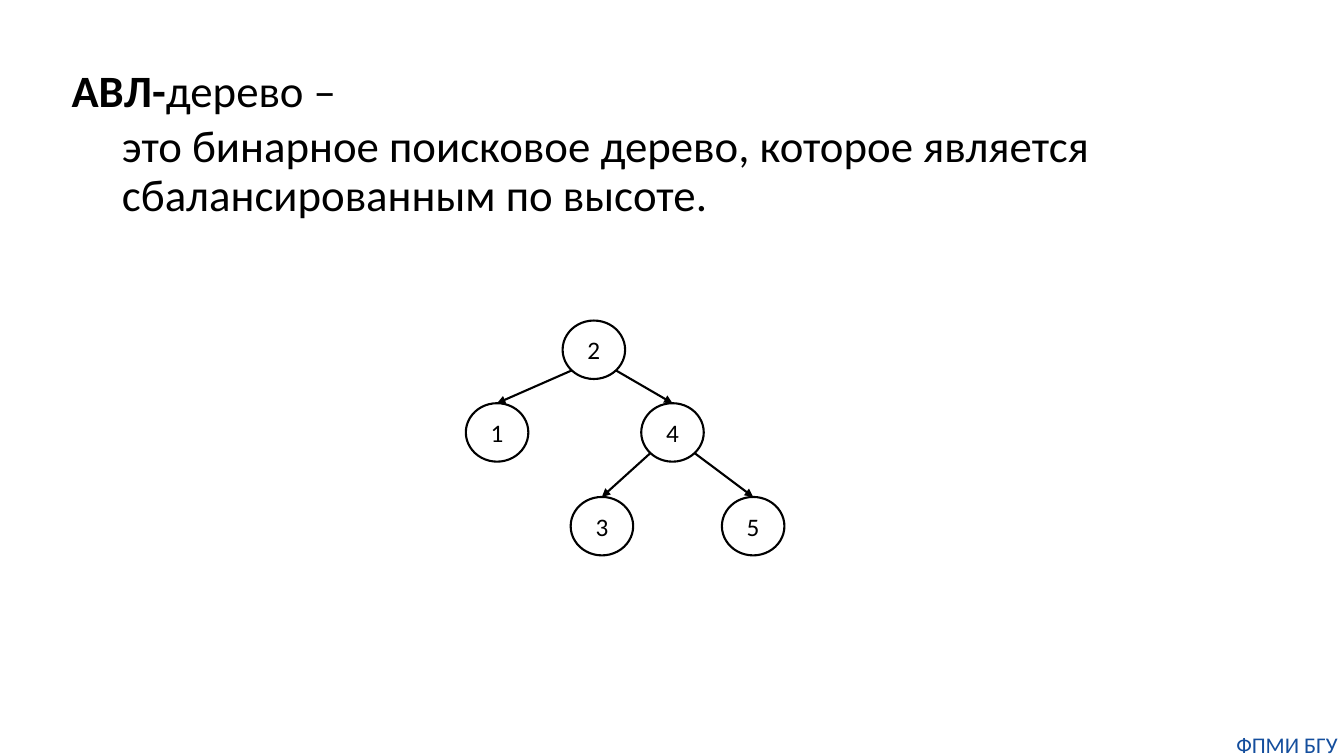
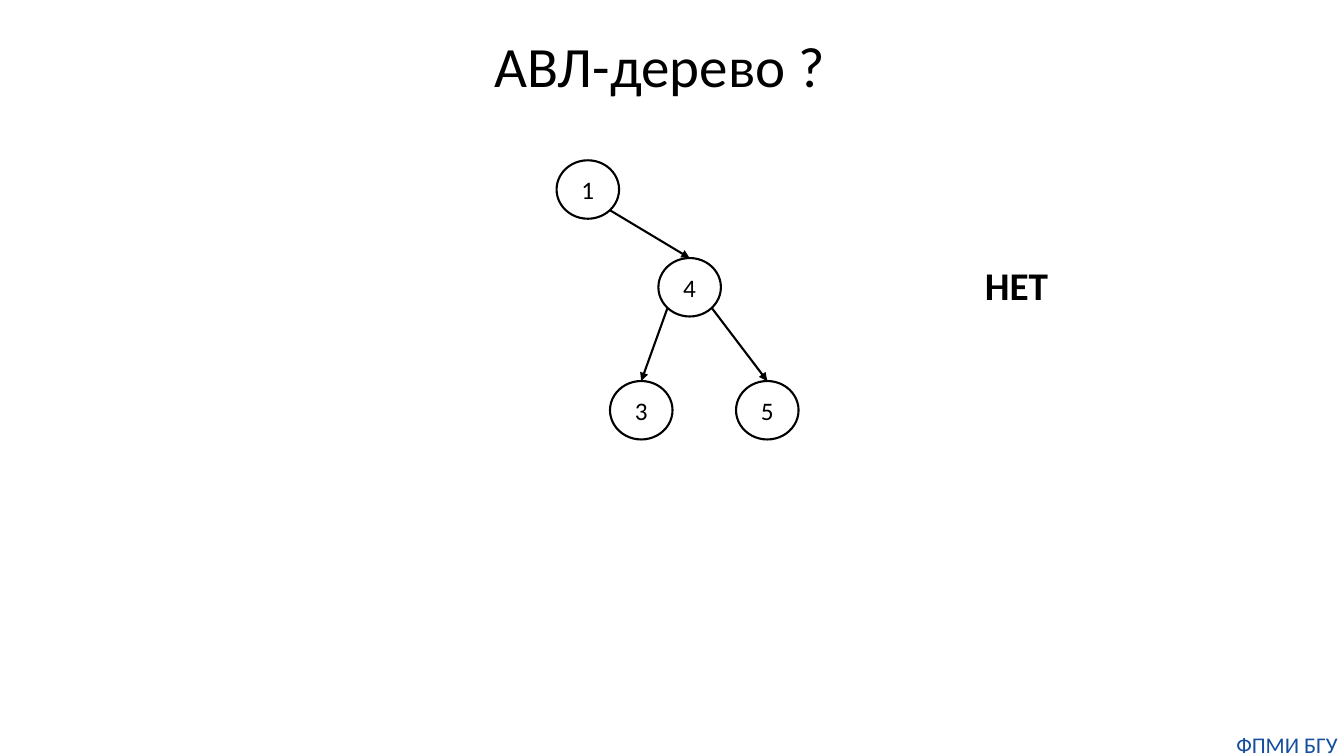
from math import sqrt

from lxml.etree import SubElement
from pptx import Presentation
from pptx.dml.color import RGBColor
from pptx.enum.shapes import MSO_CONNECTOR as CONN, MSO_SHAPE as SHAPE
from pptx.enum.text import MSO_ANCHOR as ANCHOR, MSO_AUTO_SIZE as AUTO, PP_ALIGN as ALIGN
from pptx.oxml.ns import qn
from pptx.util import Inches, Pt

BODY_LAYOUT, TITLE_LAYOUT = 1, 5


def rgb(color):
    return RGBColor.from_string(color)


class Deck:
    FONT = "Calibri"
    INK, BLUE = "000000", "144E9D"
    NODE_W, NODE_H = 0.62, 0.58
    LINE = Pt(1.5)

    def __init__(self):
        self.prs = Presentation()
        self.prs.slide_width = Inches(13.33)
        self.prs.slide_height = Inches(7.5)

    def new_slide(self, layout):
        self.slide = self.prs.slides.add_slide(self.prs.slide_layouts[layout])
        self.footer()

    def run(self, p, text, size, color=INK, bold=False):
        r = p.add_run()
        r.text = text
        font = r.font
        font.name, font.size, font.bold = self.FONT, Pt(size), bold
        font.color.rgb = rgb(color)

    def place(self, sp, left, top, width, height):
        """Move a placeholder and return its top-anchored text frame."""
        sp.left, sp.top = Inches(left), Inches(top)
        sp.width, sp.height = Inches(width), Inches(height)
        tf = sp.text_frame
        tf.auto_size = AUTO.NONE
        tf.vertical_anchor = ANCHOR.TOP
        return tf

    def title(self, text, *box):
        p = self.place(self.slide.shapes.title, *box).paragraphs[0]
        p.alignment = ALIGN.CENTER
        p.line_spacing, p.space_before = 0.8, Pt(10)
        self.run(p, text, 40.7)

    def definition(self, term, rest, meaning, *box):
        """Fill the body with a term and its indented meaning."""
        title = self.slide.shapes.title
        title.element.getparent().remove(title.element)
        tf = self.place(self.slide.placeholders[1], *box)
        head = tf.paragraphs[0]
        self.run(head, term, 32, bold=True)
        self.run(head, rest, 32)
        detail = tf.add_paragraph()
        detail.level = 1
        self.run(detail, meaning, 32)
        for p, before, indent in ((head, 10, 0), (detail, 5, 0.5)):
            p.line_spacing, p.space_before = 0.9, Pt(before)
            pPr = p._p.get_or_add_pPr()
            pPr.set("marL", str(Inches(indent)))
            pPr.set("indent", "0")
            SubElement(pPr, qn("a:buNone"))

    def text_box(self, left, top, width, height):
        sp = self.slide.shapes.add_textbox(
            Inches(left), Inches(top), Inches(width), Inches(height))
        tf = sp.text_frame
        tf.auto_size = AUTO.SHAPE_TO_FIT_TEXT
        return tf

    def footer(self):
        tf = self.text_box(12.2, 7.25, 1.13, 0.27)
        tf.word_wrap = True
        tf.margin_left = tf.margin_right = tf.margin_top = tf.margin_bottom = 0
        p = tf.paragraphs[0]
        p.alignment = ALIGN.CENTER
        self.run(p, "ФПМИ БГУ", 16, self.BLUE)

    def answer(self, text, *box):
        tf = self.text_box(*box)
        tf.word_wrap = False
        self.run(tf.paragraphs[0], text, 28, bold=True)

    def node(self, key, left, top):
        sp = self.slide.shapes.add_shape(
            SHAPE.OVAL, Inches(left), Inches(top),
            Inches(self.NODE_W), Inches(self.NODE_H))
        sp.shadow.inherit = False
        sp.fill.background()
        sp.line.color.rgb = rgb(self.INK)
        sp.line.width = self.LINE
        tf = sp.text_frame
        tf.vertical_anchor = ANCHOR.MIDDLE
        p = tf.paragraphs[0]
        p.alignment = ALIGN.CENTER
        self.run(p, str(key), 18)
        return sp

    def edge(self, parent, child):
        """Draw an arrow from the parent's lower diagonal to the child's top."""
        side = 1 if child.left > parent.left else -1
        x = parent.left + parent.width * (1 + side / sqrt(2)) / 2
        y = parent.top + parent.height * (1 + 1 / sqrt(2)) / 2
        line = self.slide.shapes.add_connector(
            CONN.STRAIGHT, int(x), int(y), child.left + child.width // 2, child.top)
        line.end_connect(child, 0)
        line.line.color.rgb = rgb(self.INK)
        line.line.width = self.LINE
        SubElement(line.line._get_or_add_ln(), qn("a:tailEnd"), type="triangle")
        SubElement(line._element.spPr, qn("a:effectLst"))

    def tree(self, places, edges):
        """Draw a binary tree: places maps key to (left, top), edges are key pairs."""
        nodes = {key: self.node(key, *place) for key, place in places.items()}
        for parent, child in edges:
            self.edge(nodes[parent], nodes[child])


def main():
    deck = Deck()

    deck.new_slide(BODY_LAYOUT)
    deck.definition(
        "АВЛ-", "дерево –",
        "это бинарное поисковое дерево, которое является сбалансированным по высоте.",
        0.61, 0.63, 11.49, 1.82)
    deck.tree(
        {2: (5.58, 3.18), 4: (6.36, 4), 1: (4.62, 4), 3: (5.66, 4.93), 5: (7.16, 4.93)},
        [(2, 1), (2, 4), (4, 3), (4, 5)])

    deck.new_slide(TITLE_LAYOUT)
    deck.title("АВЛ-дерево ?", 4.49, 0.38, 4.1, 0.65)
    deck.tree(
        {1: (5.52, 1.59), 4: (6.53, 2.56), 3: (6.05, 3.78), 5: (7.3, 3.78)},
        [(1, 4), (4, 3), (4, 5)])
    deck.answer("НЕТ", 9.67, 2.54, 0.83, 0.57)

    deck.prs.save("out.pptx")


if __name__ == "__main__":
    main()
